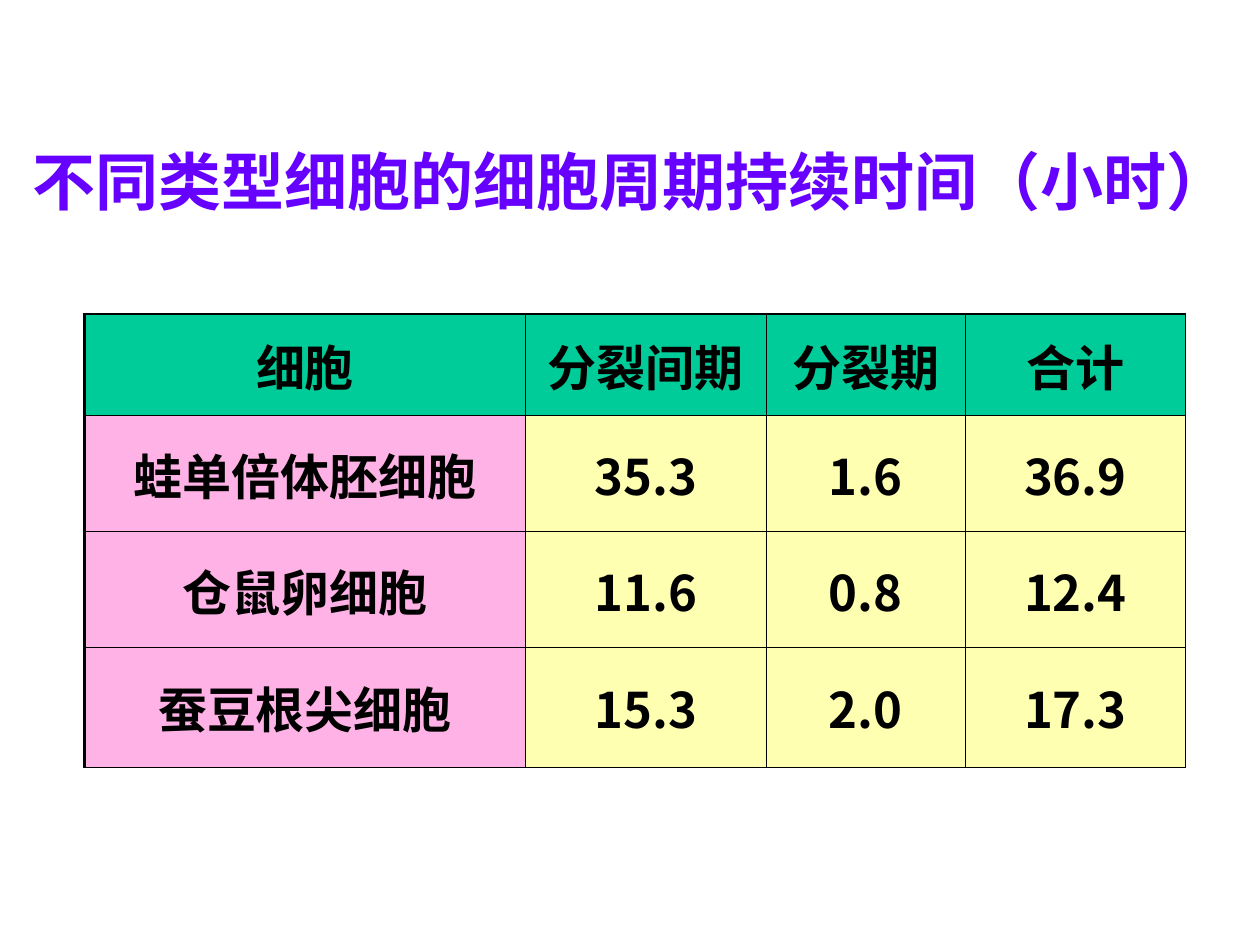
from dataclasses import dataclass

from lxml import etree
from pptx import Presentation
from pptx.dml.color import RGBColor
from pptx.enum.text import MSO_ANCHOR, PP_ALIGN
from pptx.oxml.ns import qn
from pptx.util import Inches, Pt

CENTER, LEFT = PP_ALIGN.CENTER, PP_ALIGN.LEFT
MIDDLE = MSO_ANCHOR.MIDDLE


@dataclass(frozen=True)
class Theme:
    font: str = "Noto Sans CJK JP"
    title: str = "6600FF"
    ink: str = "000000"
    header: str = "00CC99"
    cell_type: str = "FF66CC"
    hours: str = "FFFF66"
    tint: int = 50  # opacity of body cells, percent
    title_size: int = 36
    table_size: int = 28
    inner_line: float = 0.45
    start_line: float = 1.47
    end_line: float = 1.08


class SlideBuilder:
    """Draws on one slide; lengths are percentages of the slide's size."""

    def __init__(self, prs, theme):
        self.prs, self.theme = prs, theme
        self.slide = prs.slides.add_slide(prs.slide_layouts[6])

    def x(self, share):
        return round(self.prs.slide_width * share / 100)

    def y(self, share):
        return round(self.prs.slide_height * share / 100)

    def add_text(self, frame, text, size, color, align):
        paragraph = frame.paragraphs[0]
        paragraph.alignment = align
        run = paragraph.add_run()
        run.text = text
        font = run.font
        font.name, font.size, font.bold = self.theme.font, Pt(size), True
        font.color.rgb = RGBColor.from_string(color)
        etree.SubElement(font._element, qn("a:ea"), typeface=self.theme.font)

    def title(self, text, left, top, width, height):
        box = self.slide.shapes.add_textbox(
            self.x(left), self.y(top), self.x(width), self.y(height))
        frame = box.text_frame
        frame.word_wrap = True
        frame.margin_top = frame.margin_bottom = 0
        self.add_text(frame, text, self.theme.title_size, self.theme.title, LEFT)

    def table(self, records, left, top, widths, heights):
        table = self.slide.shapes.add_table(
            len(heights), len(widths), self.x(left), self.y(top),
            self.x(sum(widths)), self.y(sum(heights))).table
        for column, width in zip(table.columns, widths):
            column.width = self.x(width)
        for row, height in zip(table.rows, heights):
            row.height = self.y(height)

        theme = self.theme
        last_row, last_col = len(heights) - 1, len(widths) - 1
        for r, record in enumerate(records):
            for c, text in enumerate(record):
                cell = table.cell(r, c)
                cell.vertical_anchor = MIDDLE
                self.add_text(cell.text_frame, text, theme.table_size, theme.ink, CENTER)
                if r == 0:
                    self.fill(cell, theme.header)
                else:
                    self.fill(cell, theme.hours if c else theme.cell_type, theme.tint)
                self.borders(cell, {
                    "a:lnL": theme.inner_line if c else theme.start_line,
                    "a:lnR": theme.end_line if c == last_col else theme.inner_line,
                    "a:lnT": theme.inner_line if r else theme.start_line,
                    "a:lnB": theme.end_line if r == last_row else theme.inner_line,
                })

    def fill(self, cell, color, opacity=100):
        cell.fill.solid()
        cell.fill.fore_color.rgb = RGBColor.from_string(color)
        if opacity < 100:
            shade = cell._tc.tcPr.find(".//" + qn("a:srgbClr"))
            etree.SubElement(shade, qn("a:alpha"), val=str(opacity * 1000))

    def borders(self, cell, widths):
        # Border elements come before the fill
        for place, (side, width) in enumerate(widths.items()):
            line = etree.Element(qn(side), w=str(int(Pt(width))))
            paint = etree.SubElement(line, qn("a:solidFill"))
            etree.SubElement(paint, qn("a:srgbClr"), val=self.theme.ink)
            cell._tc.tcPr.insert(place, line)


def main():
    prs = Presentation()
    prs.slide_width, prs.slide_height = Inches(10), Inches(7.5)
    builder = SlideBuilder(prs, Theme())

    # Cell cycle durations
    durations = [
        ("细胞", "分裂间期", "分裂期", "合计"),
        ("蛙单倍体胚细胞", "35.3", "1.6", "36.9"),
        ("仓鼠卵细胞", "11.6", "0.8", "12.4"),
        ("蚕豆根尖细胞", "15.3", "2.0", "17.3"),
    ]
    builder.table(durations, left=6.7, top=33.2,
                  widths=(35, 19.1, 15.8, 17.5),
                  heights=(10.8, 12.27, 12.27, 12.67))

    # Heading
    builder.title("不同类型细胞的细胞周期持续时间（小时）",
                  left=1.6, top=15.07, width=98.4, height=9.6)

    prs.save("out.pptx")


if __name__ == "__main__":
    main()
